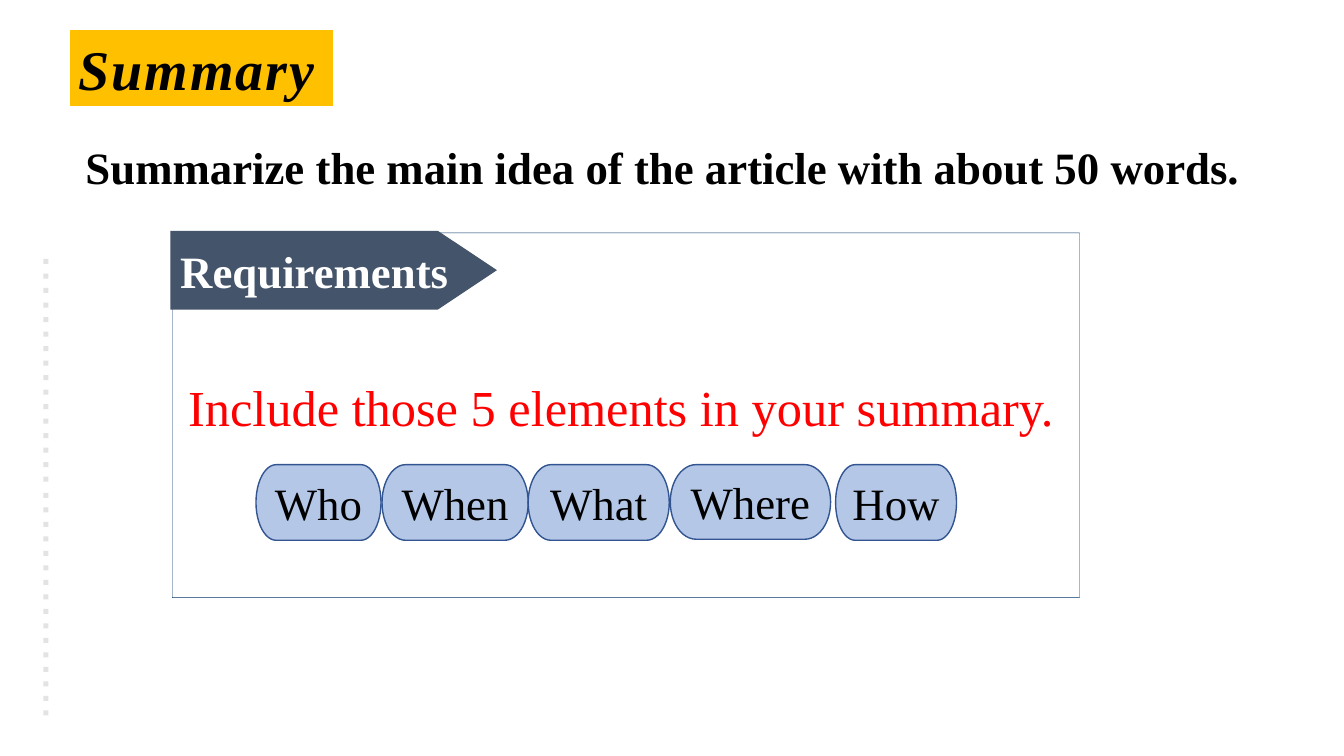
"""Build the Summary slide with its five-element requirements card."""
from dataclasses import dataclass, field
from typing import Any, Optional

from lxml import etree
from pptx import Presentation
from pptx.dml.color import RGBColor
from pptx.enum.shapes import MSO_SHAPE
from pptx.enum.text import MSO_ANCHOR, MSO_AUTO_SIZE, PP_ALIGN
from pptx.oxml.ns import qn
from pptx.util import Pt

RECT = MSO_SHAPE.RECTANGLE
PILL = MSO_SHAPE.FLOWCHART_TERMINATOR
CARD = MSO_SHAPE.FLOWCHART_CARD
PENTAGON = MSO_SHAPE.PENTAGON
TOP, MIDDLE = MSO_ANCHOR.TOP, MSO_ANCHOR.MIDDLE
LEFT, CENTER = PP_ALIGN.LEFT, PP_ALIGN.CENTER
GROW = MSO_AUTO_SIZE.SHAPE_TO_FIT_TEXT

FONT = "Times New Roman"
DOT_SIZE, DOT_PITCH, DOTS_PER_RUN = 3.6, 10.36, 16


@dataclass
class Label:
    text: str
    size: float
    color: str = "000000"
    font: dict[str, Any] = field(default_factory=dict)
    para: dict[str, Any] = field(default_factory=dict)
    frame: dict[str, Any] = field(default_factory=dict)
    spacing: int = 0


@dataclass
class Box:
    left: float
    top: float
    width: float
    height: float
    kind: Optional[MSO_SHAPE] = None
    fill: Optional[str] = None
    line: Optional[str] = None
    weight: float = 1
    label: Optional[Label] = None
    alpha: Optional[int] = None
    adjust: Optional[float] = None


def rgb(value: str) -> RGBColor:
    """Turn a hex string into a colour."""
    return RGBColor.from_string(value)


def apply(target: Any, values: dict[str, Any]) -> None:
    """Set every named attribute on the target."""
    for name, value in values.items():
        setattr(target, name, value)


def write(tf: Any, label: Label) -> None:
    """Write a label into a text frame."""
    apply(tf, {"word_wrap": True, "vertical_anchor": MIDDLE} | label.frame)
    p = tf.paragraphs[0]
    apply(p, {"alignment": LEFT} | label.para)
    r = p.add_run()
    r.text = label.text
    apply(r.font, {"name": FONT, "size": Pt(label.size)} | label.font)
    r.font.color.rgb = rgb(label.color)
    if label.spacing:
        r.font._element.set("spc", str(label.spacing))


def draw(s: Any, box: Box) -> None:
    """Draw one box on the slide."""
    bounds = [Pt(v) for v in (box.left, box.top, box.width, box.height)]
    if box.kind is None:
        sp = s.shapes.add_textbox(*bounds)
    else:
        sp = s.shapes.add_shape(box.kind, *bounds)
        sp.shadow.inherit = False
        if box.adjust is not None:
            sp.adjustments[0] = box.adjust
    if box.fill:
        sp.fill.solid()
        sp.fill.fore_color.rgb = rgb(box.fill)
    else:
        sp.fill.background()
    if box.alpha is not None:
        clr = sp._element.spPr.find(qn("a:solidFill")).find(qn("a:srgbClr"))
        etree.SubElement(clr, qn("a:alpha")).set("val", str(box.alpha * 1000))
    if box.line:
        sp.line.color.rgb = rgb(box.line)
        sp.line.width = Pt(box.weight)
    else:
        sp.line.fill.background()
    if box.label:
        write(sp.text_frame, box.label)


def pill(text: str, left: float, width: float, height: float = 54) -> Box:
    """Describe one question-word pill."""
    label = Label(text, 32, para={"alignment": CENTER},
                  frame={"margin_left": 0, "margin_right": 0})
    return Box(left, 331.9, width, height, PILL, "B4C7E7", "325491", label=label)


DOTS = [
    Box(31, start + i * DOT_PITCH, DOT_SIZE, DOT_SIZE, RECT, "D9D9D9", alpha=72)
    for start in (185, 352)
    for i in range(DOTS_PER_RUN)
]
PILLS = [
    pill("Who", 182.9, 89.3),
    pill("When", 272.9, 104.4),
    pill("What", 377.3, 100.8),
    pill("Where", 478.8, 114.5, 53.3),
    pill("How", 596.9, 86.4),
]
TASK = Box(54, 96.5, 844.6, 46.1, label=Label(
    "Summarize the main idea of the article with about 50 words.", 32,
    font={"bold": True}, frame={"vertical_anchor": TOP, "auto_size": GROW}))
TITLE = Box(49, 20.9, 189.4, 55.4, RECT, "FFC000", "FFFFFF", 1.5, Label(
    "Summary", 40, font={"bold": True, "italic": True},
    para={"space_after": Pt(10)}, frame={"auto_size": GROW}, spacing=150))
FRAME = Box(123.1, 166.3, 648, 260.6, CARD, line="003366", weight=0.25)
HEADING = Box(121.7, 164.9, 233.3, 56.2, PENTAGON, "44546A", adjust=0.75,
              label=Label("Requirements", 32, "FFFFFF", {"bold": True}))
HINT = Box(127.4, 247.7, 655.2, 68.4, label=Label(
    "Include those 5 elements in your summary.", 36, "FF0000",
    para={"line_spacing": 1.4, "space_before": Pt(4)},
    frame={"vertical_anchor": TOP, "auto_size": GROW}))


def main() -> None:
    """Create and save the presentation."""
    prs = Presentation()
    apply(prs, {"slide_width": Pt(960), "slide_height": Pt(540)})
    s = prs.slides.add_slide(prs.slide_layouts[6])
    for box in [*DOTS, *PILLS, TASK, TITLE, FRAME, HEADING, HINT]:
        draw(s, box)
    prs.save("out.pptx")


if __name__ == "__main__":
    main()
